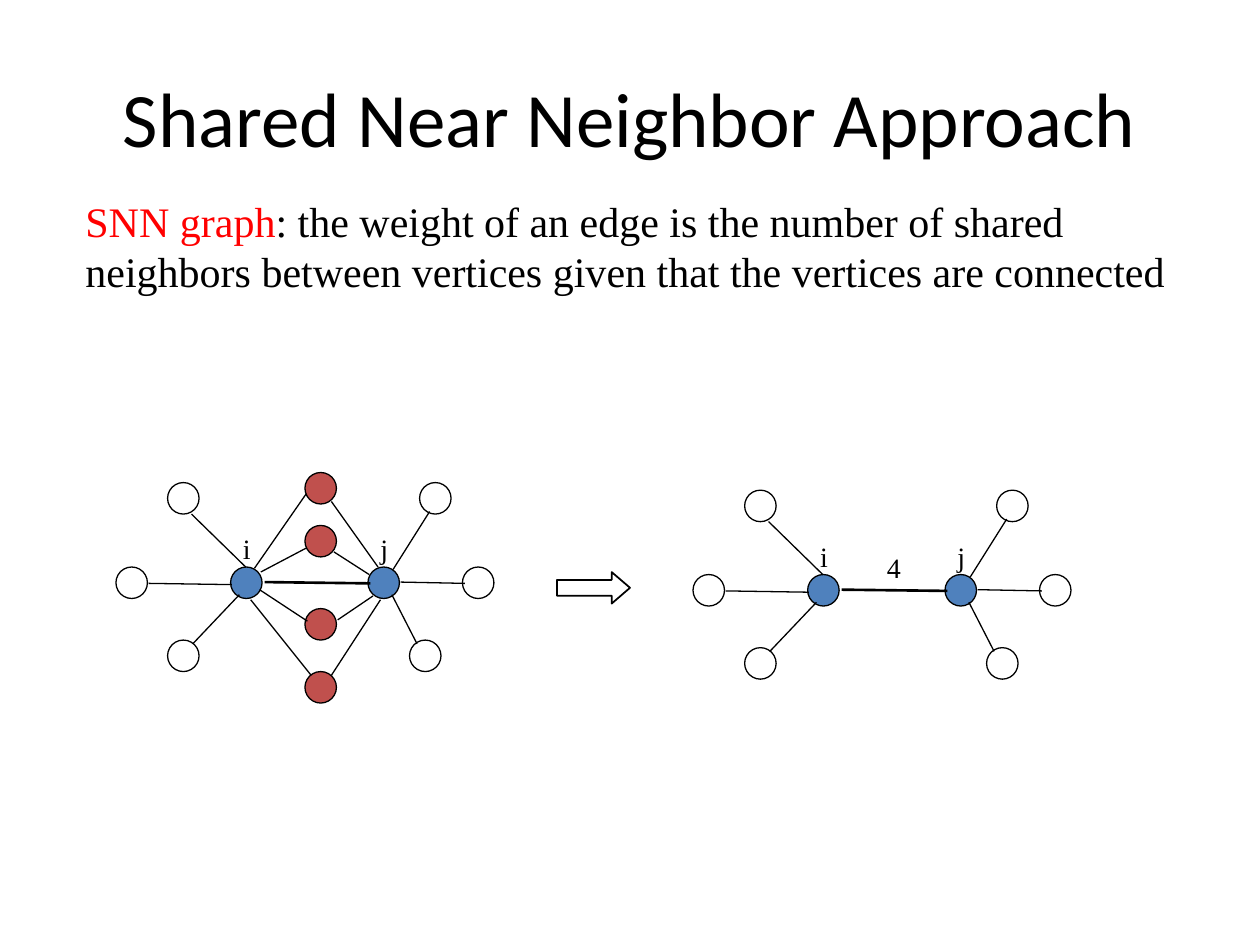
from dataclasses import dataclass

from lxml import etree
from pptx import Presentation
from pptx.dml.color import RGBColor
from pptx.enum.shapes import MSO_CONNECTOR, MSO_SHAPE
from pptx.enum.text import MSO_ANCHOR, PP_ALIGN
from pptx.oxml.ns import qn
from pptx.util import Emu, Pt

OVAL, RIGHT_ARROW = MSO_SHAPE.OVAL, MSO_SHAPE.RIGHT_ARROW
STRAIGHT = MSO_CONNECTOR.STRAIGHT
TOP, MIDDLE = MSO_ANCHOR.TOP, MSO_ANCHOR.MIDDLE
LEFT, CENTER = PP_ALIGN.LEFT, PP_ALIGN.CENTER

EMU_PER_PX = 9144  # 100 px to the inch
NODE = 25


@dataclass(frozen=True)
class Theme:
    ink: str = "000000"
    accent: str = "FF0000"
    vertex: str = "4F81BD"
    shared: str = "C0504D"
    title_font: str = "Calibri"
    body_font: str = "Times New Roman"
    title_size: int = 44
    body_size: int = 24
    label_size: int = 16
    thin: float = 0.75
    outline: float = 1
    thick: float = 1.5


THEME = Theme()

# Left-top corners of the nodes in the left graph
VERTICES = [(183, 450), (292, 450)]
SHARED = [(242, y) for y in (375, 417, 483, 533)]
OUTER = [(133, 508), (92, 450), (133, 383), (333, 383), (325, 508), (367, 450)]
LABELS = [("i", 183, 417), ("j", 292, 417)]

# Edges as x1, y1, x2, y2
MAIN_EDGE = (210, 462, 294, 463)
OUTER_EDGES = [
    (153, 511, 190, 472), (118, 463, 184, 464), (152, 408, 195, 450),
    (318, 462, 369, 463), (331, 511, 311, 472), (312, 452, 341, 406),
]
SHARED_EDGES = [
    (207, 454, 243, 435), (206, 468, 244, 493), (247, 536, 199, 476),
    (202, 451, 243, 392), (268, 492, 296, 473), (263, 536, 302, 476),
    (293, 456, 265, 438), (300, 450, 263, 398),
]
RIGHT_SHIFT = (458, 6)


def px(n):
    return Emu(n * EMU_PER_PX)


def color(value):
    return RGBColor.from_string(value)


def add_outlined(shapes, kind, box, fill=None, width=THEME.thin):
    s = shapes.add_shape(kind, *map(px, box))
    s.shadow.inherit = False
    if fill:
        s.fill.solid()
        s.fill.fore_color.rgb = color(fill)
    else:
        s.fill.background()
    s.line.color.rgb = color(THEME.ink)
    s.line.width = Pt(width)
    return s


def add_edge(shapes, ends, width=THEME.thin):
    s = shapes.add_connector(STRAIGHT, *map(px, ends))
    s.line.color.rgb = color(THEME.ink)
    s.line.width = Pt(width)
    etree.SubElement(s._element.spPr, qn("a:effectLst"))


def add_text(shapes, box, parts, size, font=THEME.body_font, align=LEFT, anchor=TOP):
    """Add one paragraph; parts are (text, colour) pairs."""
    s = shapes.add_textbox(*map(px, box))
    tf = s.text_frame
    tf.word_wrap = True
    tf.vertical_anchor = anchor
    p = tf.paragraphs[0]
    p.alignment = align
    for text, ink in parts:
        r = p.add_run()
        r.text = text
        r.font.size = Pt(size)
        r.font.name = font
        r.font.color.rgb = color(ink)


def add_graph(slide, dx=0, dy=0, shared=(), shared_edges=(), weight=()):
    """Add the two joined vertices and their neighbors, moved by dx, dy."""
    shapes = slide.shapes.add_group_shape().shapes
    for nodes, fill in ((VERTICES, THEME.vertex), (shared, THEME.shared), (OUTER, None)):
        for x, y in nodes:
            add_outlined(shapes, OVAL, (x + dx, y + dy, NODE, NODE), fill)
    for text, x, y in [*LABELS, *weight]:
        add_text(shapes, (x + dx, y + dy, 35, 37), [(text, THEME.ink)], THEME.label_size)
    weighted = [(e, THEME.thin) for e in [*OUTER_EDGES, *shared_edges]]
    for (x1, y1, x2, y2), width in [*weighted, (MAIN_EDGE, THEME.thick)]:
        add_edge(shapes, (x1 + dx, y1 + dy, x2 + dx, y2 + dy), width)


def main():
    prs = Presentation()
    prs.slide_width, prs.slide_height = px(1000), px(750)
    slide = prs.slides.add_slide(prs.slide_layouts[6])

    add_graph(slide, shared=SHARED, shared_edges=SHARED_EDGES)
    add_graph(slide, *RIGHT_SHIFT, weight=[("4", 236, 426)])
    add_text(slide.shapes, (58, 150, 883, 90), [
        ("SNN graph", THEME.accent),
        (": the weight of an edge is the number of shared neighbors between "
         "vertices given that the vertices are connected", THEME.ink),
    ], THEME.body_size)
    add_text(slide.shapes, (50, 30, 900, 125),
             [("Shared Near Neighbor Approach", THEME.ink)],
             THEME.title_size, THEME.title_font, CENTER, MIDDLE)
    arrow = add_outlined(slide.shapes, RIGHT_ARROW, (442, 454, 58, 25), width=THEME.outline)
    arrow.adjustments[1] = 0.58

    prs.save("out.pptx")


if __name__ == "__main__":
    main()
